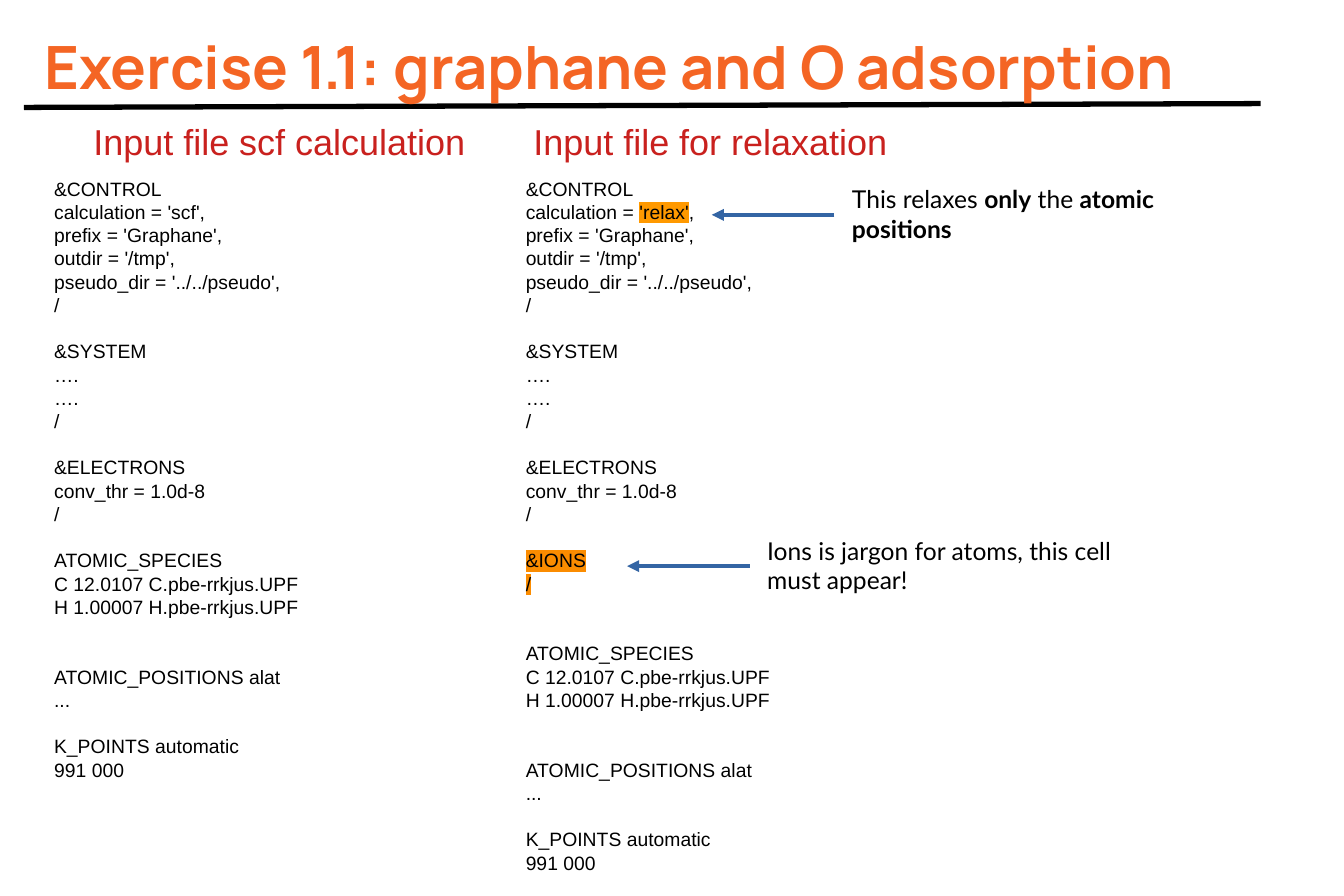
import pptx
import pptx.dml.color
import pptx.enum.shapes
import pptx.enum.text
import pptx.oxml.ns
import pptx.util
from lxml import etree

RGB = pptx.dml.color.RGBColor
BLACK = RGB(0x00, 0x00, 0x00)
WHITE = RGB(0xFF, 0xFF, 0xFF)
ORANGE = RGB(0xF4, 0x65, 0x24)
RED = RGB(0xC9, 0x21, 0x1E)
BLUE = RGB(0x34, 0x65, 0xA4)
AMBER = RGB(0xFF, 0x99, 0x00)
DARK = RGB(0xFB, 0x8C, 0x00)

PX = 9144  # EMU in one px, 100 px to the inch
PITCH = 13.25  # points between lines of code
qn = pptx.oxml.ns.qn

# Parts of the input files; a line is a string or a list of (text, format)
SCF = ["&CONTROL", "calculation = 'scf',"]
RELAX = ["&CONTROL",
         [("calculation = ", {}), ("'relax'", {"mark": AMBER}), (",", {})]]
PATHS = ["prefix = 'Graphane',", "outdir = '/tmp',",
         "pseudo_dir = '../../pseudo',", "/"]
SYSTEM = ["&SYSTEM", "….", "….", "/"]
SOLVER = ["&ELECTRONS", "conv_thr = 1.0d-8", "/"]
IONS = [[("&IONS", {"mark": DARK})], [("/", {"mark": DARK})]]
ATOMS = ["ATOMIC_SPECIES", "C 12.0107 C.pbe-rrkjus.UPF",
         "H 1.00007 H.pbe-rrkjus.UPF"]
SITES = ["ATOMIC_POSITIONS alat", "..."]
GRID = ["K_POINTS automatic", "991 000"]


def px(*sizes):
    return [pptx.util.Emu(size * PX) for size in sizes]


def style(run, size, font, color, bold=False, mark=None):
    run.font.size = pptx.util.Pt(size)
    run.font.name = font
    run.font.bold = bold
    run.font.color.rgb = color
    if mark is not None:
        fill = run.font.fill._xPr.find(qn("a:solidFill"))
        light = etree.Element(qn("a:highlight"))
        etree.SubElement(light, qn("a:srgbClr")).set("val", str(mark))
        fill.addnext(light)


def text(slide, box, lines, pad=(10, 5), pitch=None, gaps=None, **look):
    """Add a text box; gaps maps a line's index to its space before."""
    frame = slide.shapes.add_textbox(*px(*box)).text_frame
    frame.word_wrap = True
    frame.vertical_anchor = pptx.enum.text.MSO_ANCHOR.TOP
    frame.margin_left, frame.margin_top = px(*pad)
    frame.margin_right, frame.margin_bottom = px(*pad)
    for index, line in enumerate(lines):
        para = frame.add_paragraph() if index else frame.paragraphs[0]
        if pitch:
            para.line_spacing = pptx.util.Pt(pitch)
        if gaps and index in gaps:
            para.space_before = pptx.util.Pt(gaps[index])
        for words, extra in [(line, {})] if isinstance(line, str) else line:
            run = para.add_run()
            run.text = words
            style(run, **{**look, **extra})


def code(slide, box, parts):
    """Add an input file from (blank lines before, lines) parts."""
    lines, gaps = [], {}
    for skip, part in parts:
        if skip:
            gaps[len(lines)] = skip * PITCH
        lines += part
    text(slide, box, lines, pitch=PITCH, gaps=gaps,
         size=11, font="Arial", color=BLACK)


def line(slide, ends, color, width, arrow=False):
    kind = pptx.enum.shapes.MSO_CONNECTOR.STRAIGHT
    link = slide.shapes.add_connector(kind, *px(*ends))
    link.line.color.rgb = color
    link.line.width = pptx.util.Pt(width)
    if arrow:
        tip = etree.SubElement(link.line._get_or_add_ln(), qn("a:tailEnd"))
        tip.set("type", "triangle")
    etree.SubElement(link._element.spPr, qn("a:effectLst"))


def note(slide, left, top, lines):
    """Add a remark with an arrow that points left from it."""
    line(slide, (left - 4, top + 29, left - 101, top + 29), BLUE, 2.3, True)
    text(slide, (left, top, 303, 144), lines,
         size=14, font="Lato", color=BLACK)


def main():
    deck = pptx.Presentation()
    deck.slide_width, deck.slide_height = px(1063, 709)
    slide = deck.slides.add_slide(deck.slide_layouts[6])
    slide.background.fill.solid()
    slide.background.fill.fore_color.rgb = WHITE

    # Title and rule
    line(slide, (19, 85, 997, 82), BLACK, 3)
    text(slide, (24, 13, 970, 88), ["Exercise 1.1: graphane and O adsorption"],
         pad=(11, 11), size=34, font="Manrope", color=ORANGE, bold=True)

    # Input files
    code(slide, (33, 135, 364, 574),
         [(0, SCF + PATHS), (1, SYSTEM), (1, SOLVER),
          (1, ATOMS), (2, SITES), (1, GRID)])
    code(slide, (406, 135, 299, 581),
         [(0, RELAX + PATHS), (1, SYSTEM), (1, SOLVER), (1, IONS),
          (2, ATOMS), (2, SITES), (1, GRID)])

    # Column headings
    for left, width, head in [(64, 342, "Input file scf calculation"),
                              (412, 499, "Input file for relaxation")]:
        text(slide, (left, 90, width, 38), [head],
             size=20.5, font="Arial", color=RED)

    # Remarks
    strong = {"bold": True}
    note(slide, 664, 141, [[("This relaxes ", {}), ("only", strong),
                            (" the ", {}), ("atomic positions", strong)]])
    note(slide, 597, 419, ["Ions is jargon for atoms, this cell",
                           "must appear!"])

    deck.save("out.pptx")


if __name__ == "__main__":
    main()
